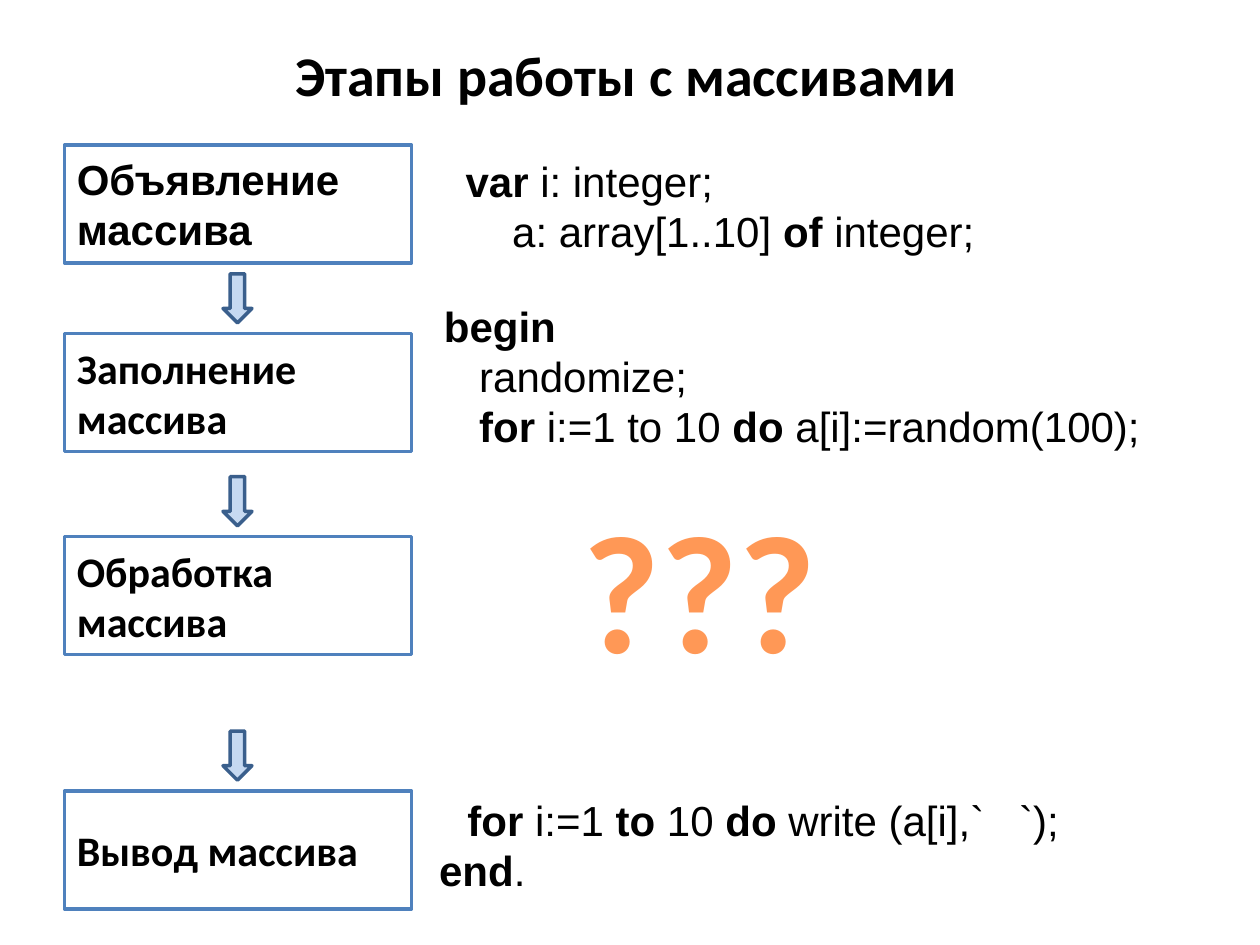
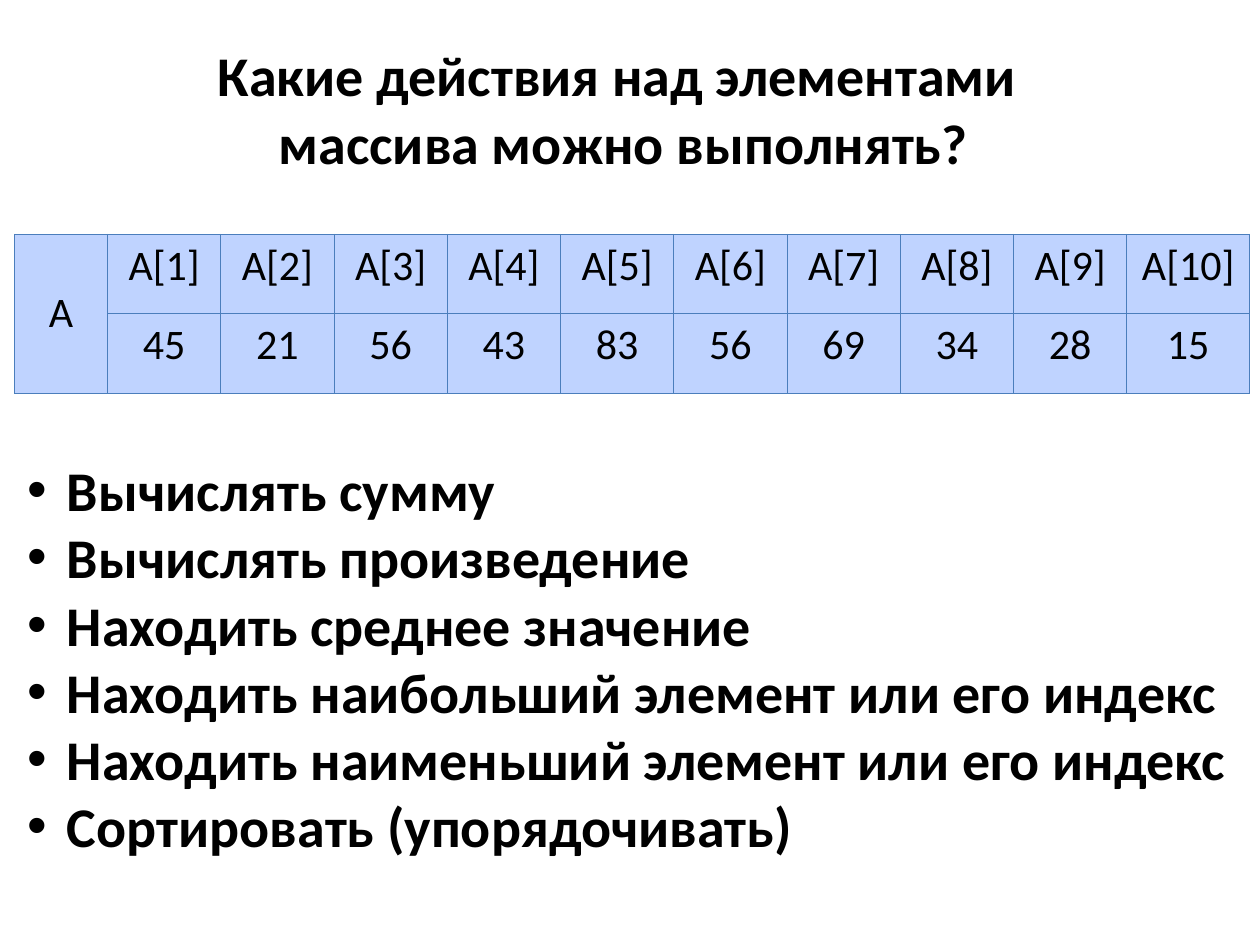
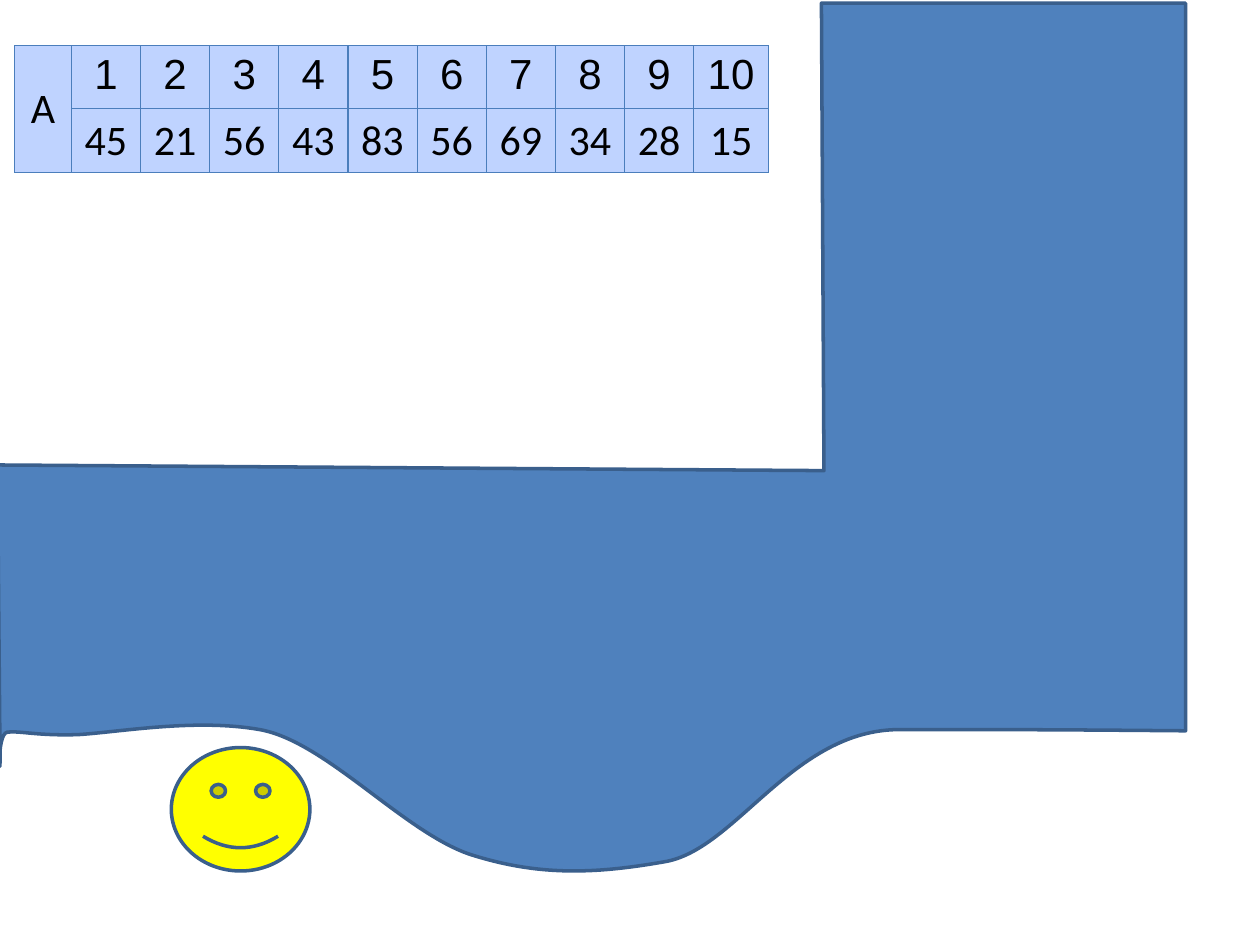
from dataclasses import dataclass

from lxml import etree
from pptx import Presentation
from pptx.dml.color import RGBColor
from pptx.enum.shapes import MSO_SHAPE
from pptx.enum.text import MSO_ANCHOR, MSO_AUTO_SIZE, PP_ALIGN
from pptx.oxml.ns import qn
from pptx.util import Emu, Inches, Pt

RECTANGLE, DOWN_ARROW, SMILEY = MSO_SHAPE.RECTANGLE, MSO_SHAPE.DOWN_ARROW, MSO_SHAPE.SMILEY_FACE
LEFT, CENTER = PP_ALIGN.LEFT, PP_ALIGN.CENTER
TOP, MIDDLE = MSO_ANCHOR.TOP, MSO_ANCHOR.MIDDLE
GROW = MSO_AUTO_SIZE.SHAPE_TO_FIT_TEXT
COLUMNS, ROWS = 100, 75
CELL = Inches(0.1)
BLANK_LAYOUT = 6


@dataclass(frozen=True)
class Theme:
    ink: str = "000000"
    paper: str = "FFFFFF"
    blue: str = "4F81BD"
    outline: str = "3A5F8C"
    arrow: str = "C6D9F1"
    question: str = "FF9856"
    smiley: str = "FFFF00"
    cell: str = "BFD3FF"
    cell_border: str = "4B7EBC"
    heading_font: str = "Calibri"
    code_font: str = "Arial"
    title_size: int = 32
    body_size: int = 24
    question_size: int = 96
    line_width: float = 2
    border_width: float = 0.75


THEME = Theme()
VALUES = [45, 21, 56, 43, 83, 56, 69, 34, 28, 15]


def grid(*cells):
    """Turn grid cells into slide lengths."""
    return [Emu(round(cell * CELL)) for cell in cells]


def write(para, markup, font=THEME.heading_font, size=THEME.body_size,
          color=THEME.ink, bold=False, align=LEFT):
    """Add spans to a paragraph; asterisks enclose bold, newlines break the line."""
    para.alignment = align
    for number, part in enumerate(markup.split("*")):
        for row, text in enumerate(part.split("\n")):
            if row:
                para.add_line_break()
            if not text:
                continue
            span = para.add_run()
            span.text = text
            style = {"name": font, "size": Pt(size), "bold": bold or number % 2 == 1}
            for name, value in style.items():
                setattr(span.font, name, value)
            span.font.color.rgb = RGBColor.from_string(color)


def set_indent(para, left, first, bullet=None):
    properties = para._p.get_or_add_pPr()
    for name, length in zip(("marL", "indent"), grid(left, first)):
        properties.set(name, str(length))
    if bullet:
        etree.SubElement(properties, qn("a:buFont")).set("typeface", "Arial")
        etree.SubElement(properties, qn("a:buChar")).set("char", bullet)


def add_text(page, area, lines, wrap=True, bullet=None, **style):
    """Add a text box; each line is a pair of indent and markup."""
    frame = page.shapes.add_textbox(*grid(*area)).text_frame
    frame.word_wrap = wrap
    frame.auto_size = GROW
    for number, (indent, markup) in enumerate(lines):
        para = frame.add_paragraph() if number else frame.paragraphs[0]
        if bullet:
            set_indent(para, indent, -indent, bullet)
        elif indent:
            set_indent(para, 0, indent)
        write(para, markup, **style)


def add_title(page, area, title, align=CENTER):
    add_text(page, area, [(0, title)], wrap=False,
             size=THEME.title_size, bold=True, align=align)


def paint(shape, fill, line):
    shape.shadow.inherit = False
    shape.fill.solid()
    shape.fill.fore_color.rgb = RGBColor.from_string(fill)
    shape.line.color.rgb = RGBColor.from_string(line)
    shape.line.width = Pt(THEME.line_width)


def add_figure(page, kind, area, fill, line=THEME.outline):
    shape = page.shapes.add_shape(kind, *grid(*area))
    paint(shape, fill, line)
    return shape


def add_stage(page, top, label, font=THEME.heading_font):
    box = add_figure(page, RECTANGLE, (5.12, top, 27.55, 9.37), THEME.paper, THEME.blue)
    box.text_frame.word_wrap = True
    box.text_frame.vertical_anchor = MIDDLE
    write(box.text_frame.paragraphs[0], label, font=font, bold=True)


def set_borders(cell):
    properties = cell._tc.get_or_add_tcPr()
    for position, side in enumerate(("a:lnL", "a:lnR", "a:lnT", "a:lnB")):
        line = etree.Element(qn(side), w=str(Pt(THEME.border_width)))
        fill = etree.SubElement(line, qn("a:solidFill"))
        etree.SubElement(fill, qn("a:srgbClr")).set("val", THEME.cell_border)
        properties.insert(position, line)


def add_array_table(page, top, widths, row_height, labels, label_font):
    """Draw the array: name on the left, labels above the values."""
    first, middle, last = widths
    columns = [first] + [middle] * (len(VALUES) - 1) + [last]
    frame = page.shapes.add_table(2, len(columns),
                                  *grid(1.16, top, sum(columns), 2 * row_height))
    table = frame.table
    for column, width in zip(table.columns, grid(*columns)):
        column.width = width
    contents = [["А"] + labels, [""] + VALUES]
    fonts = [label_font, THEME.heading_font]
    for r, texts in enumerate(contents):
        for c, text in enumerate(texts):
            cell = table.cell(r, c)
            cell.margin_left = cell.margin_right = Inches(0.05)
            cell.vertical_anchor = TOP if c else MIDDLE
            cell.fill.solid()
            cell.fill.fore_color.rgb = RGBColor.from_string(THEME.cell)
            set_borders(cell)
            font = fonts[r] if c else THEME.heading_font
            write(cell.text_frame.paragraphs[0], str(text), font=font, align=CENTER)
    table.cell(0, 0).merge(table.cell(1, 0))


def bend_segments(shape, segments, bends):
    """Turn straight segments into cubic curves with the given control points."""
    for segment, (control_1, control_2, _) in zip(segments, bends):
        segment.tag = qn("a:cubicBezTo")
        for position, control in enumerate((control_1, control_2)):
            x, y = grid(*control)
            point = etree.Element(qn("a:pt"), x=str(x - shape.left), y=str(y - shape.top))
            segment.insert(position, point)


def add_landscape(page):
    corners = [(0, 58.8), (-0.2, 36.9), (65.4, 37.35), (65.2, 0.25), (94.1, 0.25), (94.1, 58)]
    bends = [
        ((83.1, 57.9), (80, 57.9), (71.4, 57.9)),
        ((62.9, 57.9), (58.4, 67.5), (52.7, 68.4)),
        ((47, 69.4), (42.6, 69.5), (37.3, 67.8)),
        ((32, 66), (25.8, 58.8), (20.6, 57.9)),
        ((15.5, 57), (9.5, 58.1), (6.2, 58.3)),
        ((2.9, 58.4), (1.7, 58), (0.6, 58.1)),
        ((-0.4, 58.2), (0.1, 63.7), (0, 58.8)),
    ]
    points = [grid(*point) for point in corners + [bend[-1] for bend in bends]]
    builder = page.shapes.build_freeform(*points[0], scale=1.0)
    builder.add_line_segments(points[1:], close=True)
    shape = builder.convert_to_shape()
    outline = shape._element.find(".//" + qn("a:path"))
    segments = outline.findall(qn("a:lnTo"))[len(corners) - 1:]
    bend_segments(shape, segments, bends)
    shape.height = grid(68.9)[0]
    outline.set("h", str(shape.height))
    paint(shape, THEME.blue, THEME.outline)


def stages_slide(page):
    add_title(page, (22.45, 2.75, 55.1, 6.4), "Этапы работы с массивами", LEFT)
    add_stage(page, 11.5, "Объявление массива", THEME.code_font)
    for top, label in ((26.48, "Заполнение массива"), (42.58, "Обработка массива"),
                       (62.77, "Вывод массива")):
        add_stage(page, top, label)
        add_figure(page, DOWN_ARROW, (17.7, top - 4.75, 2.3, 3.9), THEME.arrow)
    listings = [
        ((34.12, 11.85, 59.1, 9.1),
         [(1.85, "*var* i: integer;"), (5.55, "a: array[1..10] *of* integer;")]),
        ((34.25, 23.33, 65.7, 13.1),
         [(0, "*begin*"), (2.8, "randomize;"),
          (2.8, "*for* i:=1 to 10 *do* a[i]:=random(100);")]),
        ((33.87, 62.55, 69.7, 9.1),
         [(2.25, "*for* i:=1 *to* 10 *do* write (a[i],`   `);\n*end*.")]),
    ]
    for area, lines in listings:
        add_text(page, area, lines, font=THEME.code_font)
    add_text(page, (39.75, 38.05, 31.5, 17.2), [(0, "???")], size=THEME.question_size,
             color=THEME.question, bold=True, align=CENTER)


def actions_slide(page):
    add_title(page, (15.95, 2.75, 67.1, 11.8),
              "Какие действия над элементами \nмассива можно выполнять?")
    actions = ["Вычислять сумму", "Вычислять произведение", "Находить среднее значение",
               "Находить наибольший элемент или его индекс",
               "Находить наименьший элемент или его индекс",
               "Сортировать (упорядочивать)"]
    add_text(page, (1.2, 35.67, 98.1, 33.3), [(3.13, action) for action in actions],
             wrap=False, bullet="•", size=THEME.title_size, bold=True)
    labels = [f"А[{number}]" for number in range(1, len(VALUES) + 1)]
    add_array_table(page, 18.6, (7.38, 8.99, 9.75), 6.3, labels, THEME.heading_font)


def landscape_slide(page):
    add_landscape(page)
    labels = list(range(1, len(VALUES) + 1))
    add_array_table(page, 3.62, (4.5, 5.49, 5.93), 5.02, labels, THEME.code_font)
    add_figure(page, SMILEY, (13.6, 59.33, 11, 9.8), THEME.smiley)


def main():
    deck = Presentation()
    deck.slide_width, deck.slide_height = grid(COLUMNS, ROWS)
    for build in (stages_slide, actions_slide, landscape_slide):
        build(deck.slides.add_slide(deck.slide_layouts[BLANK_LAYOUT]))
    deck.save("out.pptx")


if __name__ == "__main__":
    main()
